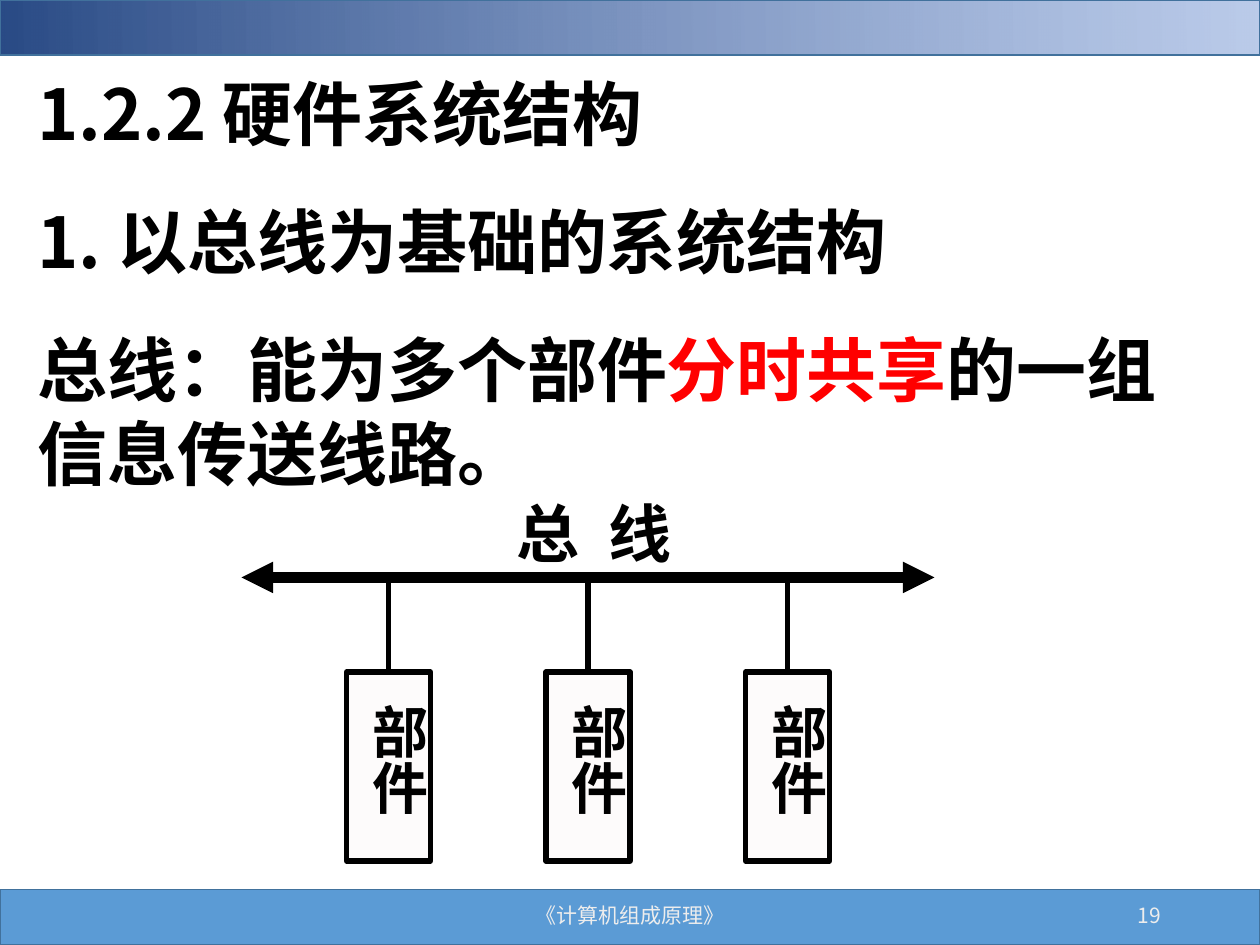
import pptx
import pptx.util
import pptx.dml.color
import pptx.enum.shapes
import pptx.enum.text
import pptx.oxml.ns
import lxml.etree

Pt = pptx.util.Pt
RGB = pptx.dml.color.RGBColor.from_string
qn = pptx.oxml.ns.qn
Align = pptx.enum.text.PP_ALIGN
Anchor = pptx.enum.text.MSO_ANCHOR

THEME = {
    "font": "Noto Sans CJK SC",
    "ink": "000000", "accent": "FF0000", "footer_ink": "EDEDED",
    "band": "5B9BD5", "band_line": "41719C", "unit": "FDFBFB",
    "fade_from": "2A4B86", "fade_to": "8FAADC", "fade_opacity": 61,
    "body": 40, "bus_label": 36, "unit_label": 32, "footer": 12,
    "leading": 1.2,
}

# Each paragraph is a list of (text, colour) runs.
BODY = [
    [("1.2.2 硬件系统结构", "ink")],
    [("1. 以总线为基础的系统结构", "ink")],
    [("总线：能为多个部件", "ink"), ("分时共享", "accent"), ("的一组信息传送线路。", "ink")],
]
BUS_LABEL = "总  线"
UNITS = ["部件", "部件", "部件"]
FOOTER = "《计算机组成原理》"
PAGE_NUMBER = "19"

SLIDE_W, SLIDE_H = 720, 540
BAND_H = 31.7
BUS_Y, BUS_LEFT, BUS_RIGHT = 330, 138, 534
UNIT_LEFT, UNIT_TOP, UNIT_W, UNIT_H, UNIT_PITCH = 198, 384, 48, 108, 114


def add_box(slide, left, top, width, height, line_color, line_width):
    box = slide.shapes.add_shape(pptx.enum.shapes.MSO_SHAPE.RECTANGLE,
                                 Pt(left), Pt(top), Pt(width), Pt(height))
    box.shadow.inherit = False
    box.line.color.rgb = RGB(THEME[line_color])
    box.line.width = Pt(line_width)
    return box


def fill_solid(box, color):
    box.fill.solid()
    box.fill.fore_color.rgb = RGB(THEME[color])


def fill_fade(box):
    """Left-to-right gradient whose end is partly transparent."""
    box.fill.gradient()
    box.fill.gradient_angle = 1
    for stop, color in zip(box.fill.gradient_stops, ("fade_from", "fade_to")):
        stop.color.rgb = RGB(THEME[color])
    end_color = box._element.spPr.findall(".//" + qn("a:srgbClr"))[1]
    lxml.etree.SubElement(end_color, qn("a:alpha"), val=str(THEME["fade_opacity"] * 1000))


def add_line(slide, x1, y1, x2, y2, width, arrows=False):
    line = slide.shapes.add_connector(pptx.enum.shapes.MSO_CONNECTOR.STRAIGHT,
                                      Pt(x1), Pt(y1), Pt(x2), Pt(y2))
    line.line.color.rgb = RGB(THEME["ink"])
    line.line.width = Pt(width)
    if arrows:
        for end in ("a:headEnd", "a:tailEnd"):
            lxml.etree.SubElement(line.line._get_or_add_ln(), qn(end), type="triangle")
    lxml.etree.SubElement(line._element.spPr, qn("a:effectLst"))


def add_text(slide, frame, paragraphs, size, bold=True, align=Align.LEFT,
             anchor=Anchor.TOP, gap=0, vertical=False):
    """Write paragraphs of (text, colour) runs; bold text gets fixed leading."""
    text_frame = slide.shapes.add_textbox(*map(Pt, frame)).text_frame
    text_frame.word_wrap = True
    text_frame.vertical_anchor = anchor
    if vertical:
        text_frame._txBody.bodyPr.set("vert", "eaVert")
        text_frame.margin_left = text_frame.margin_right = Pt(3.6)
        text_frame.margin_top = text_frame.margin_bottom = Pt(7.2)
    for index, runs in enumerate(paragraphs):
        paragraph = text_frame.paragraphs[0] if index == 0 else text_frame.add_paragraph()
        paragraph.alignment = align
        if bold:
            paragraph.line_spacing = Pt(THEME[size] * THEME["leading"])
        if index and gap:
            paragraph.space_before = Pt(gap)
        for text, color in runs:
            run = paragraph.add_run()
            run.text = text
            run.font.size = Pt(THEME[size])
            run.font.bold = bold
            run.font.name = THEME["font"]
            run.font.color.rgb = RGB(THEME[color])
            lxml.etree.SubElement(run.font._element, qn("a:ea"), typeface=THEME["font"])


def add_bands(slide):
    footer_top = SLIDE_H - BAND_H
    fill_solid(add_box(slide, 0, footer_top, SLIDE_W, BAND_H, "band_line", 1), "band")
    fill_fade(add_box(slide, 0, 0, SLIDE_W, BAND_H, "band_line", 1))
    for text, left, width, align in ((FOOTER, 238.5, 243, Align.CENTER),
                                     (PAGE_NUMBER, 508.5, 162, Align.RIGHT)):
        add_text(slide, (left, footer_top, width, 28.8), [[(text, "footer_ink")]],
                 "footer", bold=False, align=align, anchor=Anchor.MIDDLE)


def add_bus_diagram(slide):
    add_line(slide, BUS_LEFT, BUS_Y, BUS_RIGHT, BUS_Y, 6, arrows=True)
    add_text(slide, (288, 279, 126, 50.4), [[(BUS_LABEL, "ink")]], "bus_label")
    for index, unit in enumerate(UNITS):
        left = UNIT_LEFT + index * UNIT_PITCH
        center = left + UNIT_W / 2
        add_line(slide, center, BUS_Y, center, UNIT_TOP, 3)
        fill_solid(add_box(slide, left, UNIT_TOP, UNIT_W, UNIT_H, "ink", 3), "unit")
        add_text(slide, (left, UNIT_TOP + 11.5, 52.5, UNIT_H), [[(unit, "ink")]],
                 "unit_label", align=Align.CENTER, vertical=True)


def main():
    deck = pptx.Presentation()
    deck.slide_width, deck.slide_height = Pt(SLIDE_W), Pt(SLIDE_H)
    slide = deck.slides.add_slide(deck.slide_layouts[6])
    add_bands(slide)
    add_text(slide, (14.4, 37, 682, 249), BODY, "body", gap=25)
    add_bus_diagram(slide)
    deck.save("out.pptx")


if __name__ == "__main__":
    main()
